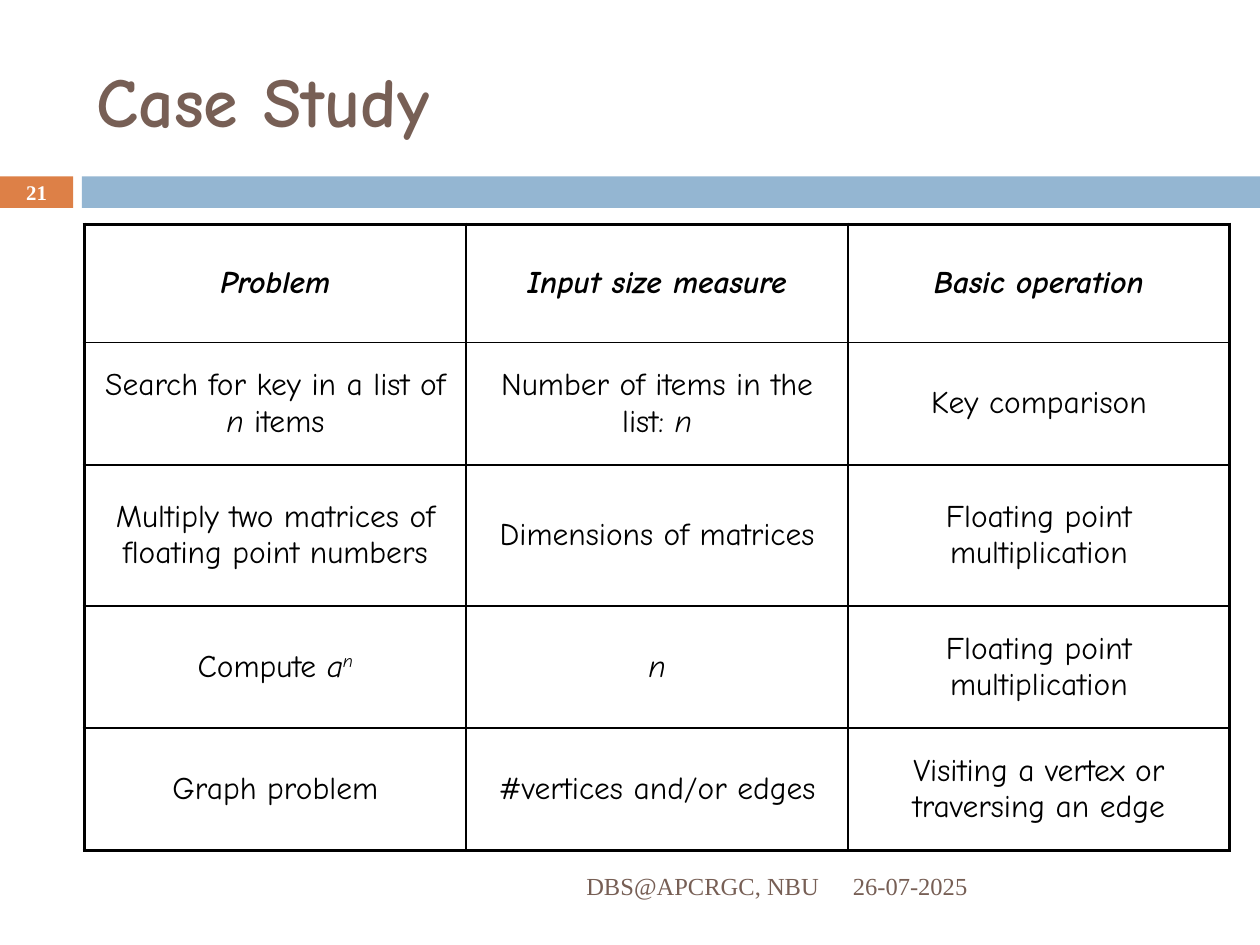
"""Build the Case Study slide: a title, a ruled comparison table and a footer."""
from lxml.etree import SubElement
from pptx import Presentation
from pptx.dml.color import RGBColor
from pptx.enum.shapes import MSO_SHAPE
from pptx.enum.text import MSO_ANCHOR, PP_ALIGN
from pptx.oxml.ns import qn
from pptx.util import Inches, Pt


def color(value):
    return RGBColor.from_string(value)


def add_span(para, text, formats):
    span = para.add_run()
    span.text = text
    span.font.color.rgb = color(formats["color"])
    for name in ("name", "size", "bold", "italic"):
        setattr(span.font, name, formats.get(name))
    return span


deck = Presentation()
deck.slide_width, deck.slide_height = Inches(10), Inches(7.5)
page = deck.slides.add_slide(deck.slide_layouts[6])

margin = Inches(0.67)
for left, width, fill in ((0, 0.58, "DD8047"), (0.65, 9.35, "94B6D2")):
    band = page.shapes.add_shape(
        MSO_SHAPE.RECTANGLE, Inches(left), Inches(1.4), Inches(width), Inches(0.25))
    band.shadow.inherit = False
    band.fill.solid()
    band.fill.fore_color.rgb = color(fill)
    band.line.fill.background()

rows = (
    ("Problem", "Input size measure", "Basic operation"),
    ("Search for key in a list of *n* items", "Number of items in the list: *n*",
     "Key comparison"),
    ("Multiply two matrices of floating point numbers", "Dimensions of matrices",
     "Floating point multiplication"),
    ("Compute *a**^n*", "*n*", "Floating point multiplication"),
    ("Graph problem", "#vertices and/or edges", "Visiting a vertex or traversing an edge"),
)
row_heights = (0.94, 0.97, 1.12, 0.97, 0.97)
last_row, last_column = len(rows) - 1, len(rows[0]) - 1
table = page.shapes.add_table(
    len(rows), len(rows[0]), margin, Inches(1.78), Inches(9.09), Inches(sum(row_heights))).table
table.first_row = table.horz_banding = False
for column in table.columns:
    column.width = Inches(3.03)

for row, texts in enumerate(rows):
    table.rows[row].height = Inches(row_heights[row])
    for column, text in enumerate(texts):
        cell = table.cell(row, column)
        cell.fill.background()
        cell.vertical_anchor = MSO_ANCHOR.MIDDLE
        para = cell.text_frame.paragraphs[0]
        para.alignment = PP_ALIGN.CENTER
        para.space_before = Pt(3.6)
        for index, piece in enumerate(text.split("*")):
            if piece:
                formats = {"name": "Comic Neue", "size": Pt(18), "color": "000000",
                           "bold": row == 0, "italic": row == 0 or index % 2 == 1}
                span = add_span(para, piece.lstrip("^"), formats)
                if piece.startswith("^"):
                    span.font._element.set("baseline", "30000")
        outer_edges = {"a:lnL": column == 0, "a:lnR": column == last_column,
                       "a:lnT": row == 0, "a:lnB": row == last_row}
        properties = cell._tc.get_or_add_tcPr()
        for position, (edge, is_outer) in enumerate(outer_edges.items()):
            border = SubElement(properties, qn(edge), w=str(Pt(2.25 if is_outer else 1)))
            fill = SubElement(border, qn("a:solidFill"))
            SubElement(fill, qn("a:srgbClr"), val="000000")
            properties.insert(position, border)

title_format = {"name": "Comic Neue", "size": Pt(40), "color": "775F55", "bold": True}
footer_format = {"name": "Times New Roman", "size": Pt(14), "color": "775F55"}
number_format = {"name": "Times New Roman", "size": Pt(11.9), "color": "FFFFFF", "bold": True}
labels = (
    ("Case Study", margin, 0.25, 8.92, 1.08, PP_ALIGN.LEFT, title_format),
    ("DBS@APCRGC, NBU", margin, 6.83, 5.93, 0.4, PP_ALIGN.RIGHT, footer_format),
    ("26-07-2025", Inches(6.67), 6.83, 2.92, 0.4, PP_ALIGN.LEFT, footer_format),
    ("21", 0, 1.39, 0.58, 0.27, PP_ALIGN.CENTER, number_format),
)
for text, left, top, width, height, alignment, formats in labels:
    box = page.shapes.add_textbox(left, Inches(top), Inches(width), Inches(height))
    frame = box.text_frame
    frame.word_wrap = True
    frame.vertical_anchor = MSO_ANCHOR.MIDDLE
    para = frame.paragraphs[0]
    para.alignment = alignment
    add_span(para, text, formats)

deck.save("out.pptx")
